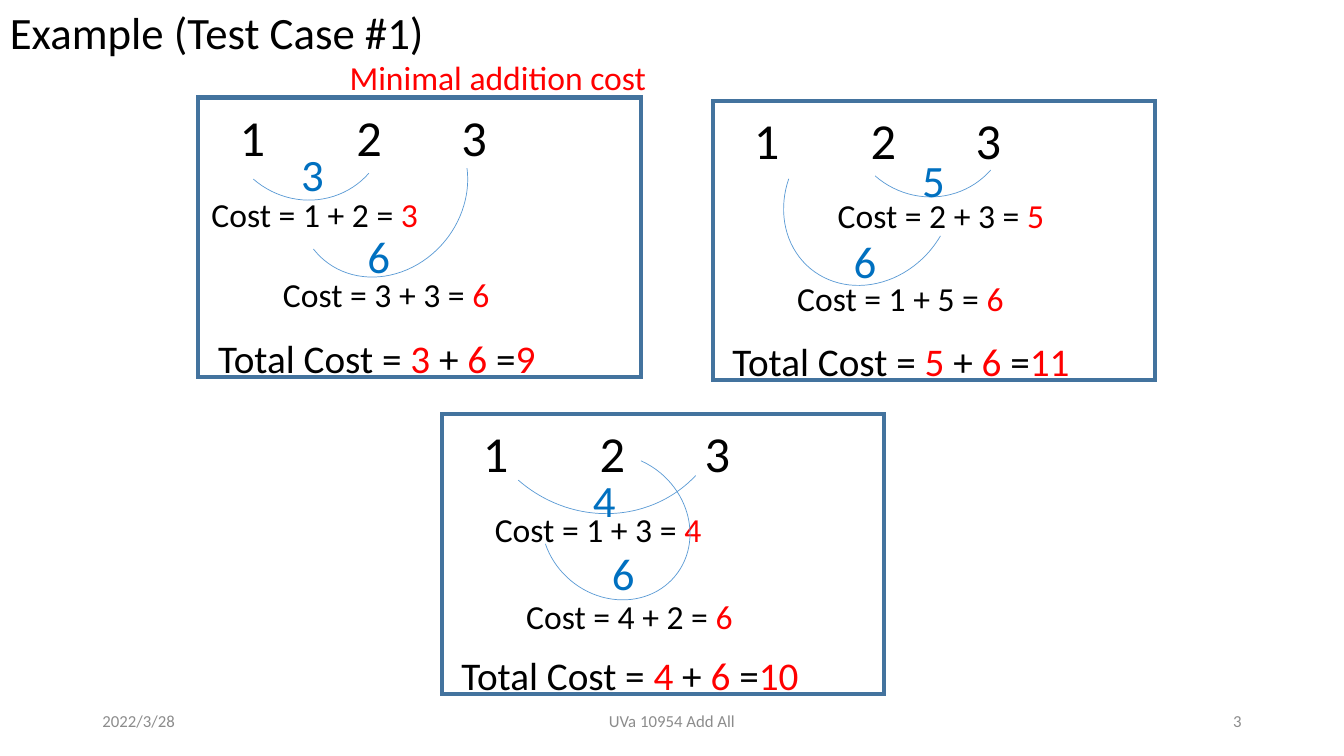
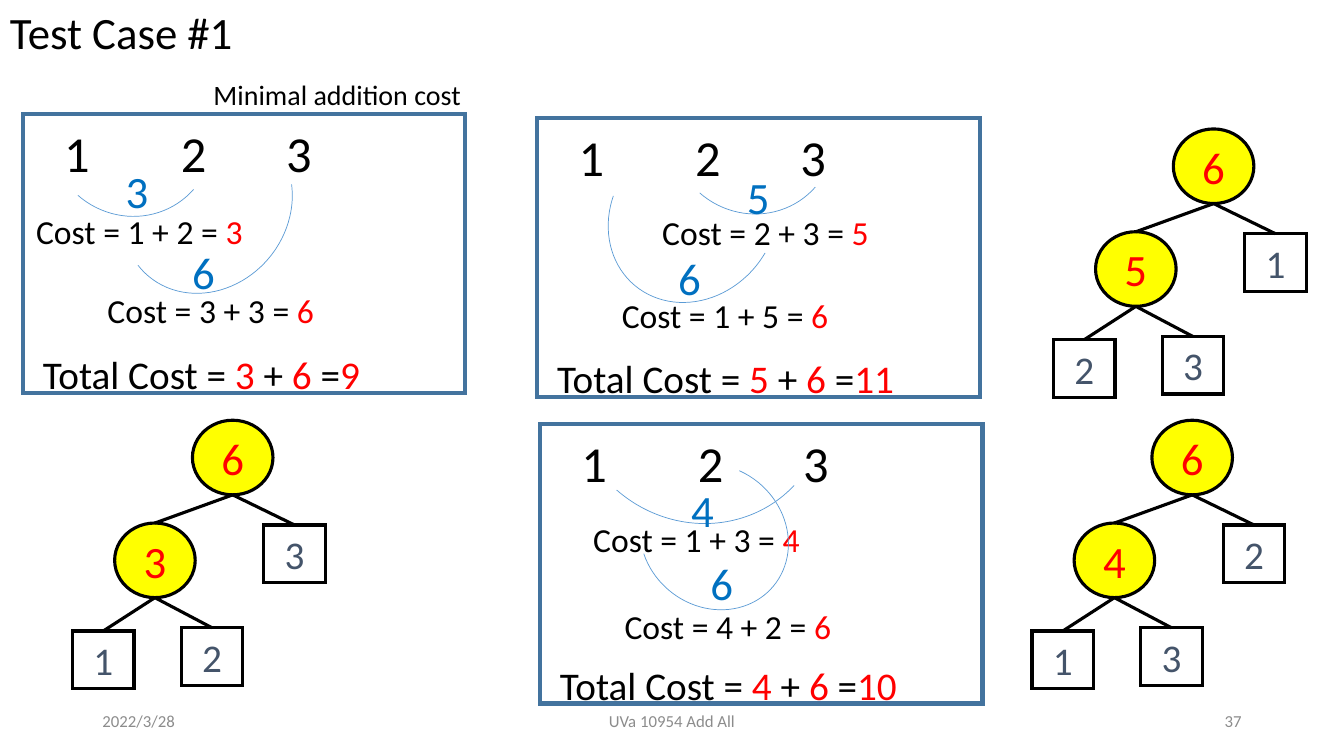
from dataclasses import dataclass

from lxml import etree
from pptx import Presentation
from pptx.dml.color import RGBColor
from pptx.enum.shapes import MSO_CONNECTOR, MSO_SHAPE
from pptx.enum.text import MSO_ANCHOR, PP_ALIGN
from pptx.oxml.ns import qn
from pptx.util import Cm, Pt

ARC, RECT, OVAL = MSO_SHAPE.ARC, MSO_SHAPE.RECTANGLE, MSO_SHAPE.OVAL
STRAIGHT = MSO_CONNECTOR.STRAIGHT
LEFT, CENTER, RIGHT = PP_ALIGN.LEFT, PP_ALIGN.CENTER, PP_ALIGN.RIGHT
TOP, MIDDLE = MSO_ANCHOR.TOP, MSO_ANCHOR.MIDDLE


@dataclass(frozen=True)
class Theme:
    font: str = "Calibri"
    ink: str = "000000"
    accent: str = "FF0000"
    sum: str = "0070C0"
    leaf: str = "44546A"
    node: str = "FFFF00"
    arc: str = "5B9BD5"
    frame: str = "43739E"
    footer: str = "8C8C8C"
    number_size: int = 36
    title_size: int = 32
    total_size: int = 28
    cost_size: int = 24
    caption_size: int = 20
    footer_size: int = 12
    arc_line: float = 0.5
    tree_line: float = 2.25
    frame_line: float = 3


theme = Theme()


def write(shape, runs, size, align=LEFT, anchor=TOP):
    frame = shape.text_frame
    frame.word_wrap = True
    frame.vertical_anchor = anchor
    paragraph = frame.paragraphs[0]
    paragraph.alignment = align
    for text, color in runs:
        run = paragraph.add_run()
        run.text = text
        run.font.name = theme.font
        run.font.size = Pt(size)
        run.font.color.rgb = RGBColor.from_string(color)
    return paragraph


def draw(slide, kind, box, line, width, fill=None):
    shape = slide.shapes.add_shape(kind, *map(Cm, box))
    shape.shadow.inherit = False
    shape.line.color.rgb = RGBColor.from_string(line)
    shape.line.width = Pt(width)
    etree.SubElement(shape.line._get_or_add_ln(), qn("a:miter"), lim="800000")
    if fill:
        shape.fill.solid()
        shape.fill.fore_color.rgb = RGBColor.from_string(fill)
    else:
        shape.fill.background()
    return shape


PANEL_SIZE = (11.15, 7.04)
NUMBER_TABS = (2.94, 5.59)
NODE_W, NODE_H = 2.03, 1.88
LEAF_W, LEAF_H = 1.55, 1.45
ADJUSTMENT_PER_DEGREE = 0.6

merges = {
    "first two": {
        "first": (1, 2), "second": (3, 3), "rest": 3,
        "costs": ((0.08, 2.31), (1.88, 4.32)),
        "sums": ((2.34, 1.12), (4.01, 3.18)),
        "arcs": (
            ((0.69, -1.57, 4.06, 4.19), 131.2, (270, 0)),
            ((2.34, 0.3, 4.6, 4.06), 129.8, (215.64, 9.78)),
        ),
    },
    "last two": {
        "first": (2, 3), "second": (1, 5), "rest": 1,
        "costs": ((2.9, 2.24), (1.88, 4.34)),
        "sums": ((5.03, 1.19), (3.3, 3.23)),
        "arcs": (
            ((3.4, -1.73, 4.06, 4.19), 131.2, (270, 0)),
            ((1.63, 0.43, 4.6, 4.06), 129.8, (257.83, 63.93)),
        ),
    },
    "outer two": {
        "first": (1, 3), "second": (4, 2), "rest": 2,
        "costs": ((1.09, 2.26), (1.88, 4.45)),
        "sums": ((3.56, 1.35), (4.04, 3.18)),
        "arcs": (
            ((0.86, -3.99, 6.27, 6.58), 131.2, (271.8, 0)),
            ((2.62, 0.89, 3.53, 3.89), 129.8, (161.11, 36.63)),
        ),
    },
}

pages = (
    {
        "title": "Example (Test Case #1)",
        "number": "3",
        "caption": (8.56, 1.32, theme.cost_size, theme.accent),
        "panels": {"first two": (5, 2.46), "last two": (17.96, 2.54), "outer two": (11.13, 10.44)},
        "trees": {},
    },
    {
        "title": "Test Case #1",
        "number": "37",
        "caption": (5.13, 1.83, theme.caption_size, theme.ink),
        "panels": {"first two": (0.58, 2.87), "last two": (13.54, 2.97), "outer two": (13.61, 10.69)},
        "trees": {"first two": (4.85, 10.59), "outer two": (29.03, 10.59), "last two": (29.57, 3.25)},
    },
)

deck = Presentation()
deck.slide_width, deck.slide_height = Cm(33.87), Cm(19.05)

for page in pages:
    slide = deck.slides.add_slide(deck.slide_layouts[6])

    footers = (
        ("2022/3/28", 2.33, 7.62, LEFT),
        ("UVa 10954 Add All", 11.22, 11.43, CENTER),
        (page["number"], 23.92, 7.62, RIGHT),
    )
    for text, left, width, align in footers:
        footer = slide.shapes.add_textbox(Cm(left), Cm(17.66), Cm(width), Cm(1.01))
        write(footer, [(text, theme.footer)], theme.footer_size, align, MIDDLE)

    title = slide.shapes.add_textbox(0, 0, Cm(12), Cm(1.62))
    write(title, [(page["title"], theme.ink)], theme.title_size)
    left, top, size, color = page["caption"]
    caption = slide.shapes.add_textbox(Cm(left), Cm(top), Cm(8.66), Cm(1.28))
    write(caption, [("Minimal addition cost", color)], size)

    for name, (left, top) in page["panels"].items():
        merge = merges[name]
        totals = [sum(merge["first"]), sum(merge["second"])]
        draw(slide, RECT, (left, top, *PANEL_SIZE), theme.frame, theme.frame_line)

        numbers = slide.shapes.add_textbox(Cm(left + 0.79), Cm(top + 0.08), Cm(7.37), Cm(1.8))
        paragraph = write(numbers, [("1\t2\t3", theme.ink)], theme.number_size)
        tabs = etree.SubElement(paragraph._p.get_or_add_pPr(), qn("a:tabLst"))
        for position in NUMBER_TABS:
            etree.SubElement(tabs, qn("a:tab"), pos=str(Cm(position)), algn="l")

        steps = zip((merge["first"], merge["second"]), totals, merge["costs"], merge["sums"], merge["arcs"])
        for (a, b), total, (cost_x, cost_y), (sum_x, sum_y), (box, turn, angles) in steps:
            x, y, width, height = box
            arc = draw(slide, ARC, (left + x, top + y, width, height), theme.arc, theme.arc_line)
            arc.rotation = turn
            for index, angle in enumerate(angles):
                arc.adjustments[index] = angle * ADJUSTMENT_PER_DEGREE
            cost = slide.shapes.add_textbox(Cm(left + cost_x), Cm(top + cost_y), Cm(5.94), Cm(1.28))
            write(cost, [(f"Cost = {a} + {b} = ", theme.ink), (str(total), theme.accent)], theme.cost_size)
            result = slide.shapes.add_textbox(Cm(left + sum_x), Cm(top + sum_y), Cm(1.37), Cm(1.62))
            write(result, [(str(total), theme.sum)], theme.title_size)

        total_cost = slide.shapes.add_textbox(Cm(left + 0.25), Cm(top + 5.84), Cm(9.32), Cm(1.45))
        write(total_cost, [
            ("Total Cost = ", theme.ink), (str(totals[0]), theme.accent),
            (" + ", theme.ink), (str(totals[1]), theme.accent),
            (" =", theme.ink), (str(sum(totals)), theme.accent),
        ], theme.total_size)

    for name, (left, top) in page["trees"].items():
        merge = merges[name]
        inner_left, inner_top = left - 1.96, top + 2.59
        nodes = ((sum(merge["second"]), left, top), (sum(merge["first"]), inner_left, inner_top))
        leaves = (
            (merge["first"][0], left - 3.02, top + 5.31),
            (merge["first"][1], left - 0.28, top + 5.23),
            (merge["rest"], left + 1.8, top + 2.64),
        )
        for value, x, y in leaves:
            leaf = draw(slide, RECT, (x, y, LEAF_W, LEAF_H), theme.ink, theme.tree_line)
            write(leaf, [(str(value), theme.leaf)], theme.total_size, CENTER, MIDDLE)
        for value, x, y in nodes:
            node = draw(slide, OVAL, (x, y, NODE_W, NODE_H), theme.ink, theme.tree_line, theme.node)
            write(node, [(str(value), theme.accent)], theme.title_size, CENTER, MIDDLE)

        root_end = (left + NODE_W / 2, top + NODE_H)
        inner_end = (inner_left + NODE_W / 2, inner_top + NODE_H)
        leaf_tops = [(x + LEAF_W / 2, y) for _, x, y in leaves]
        branches = (
            (root_end, (inner_left + NODE_W / 2, inner_top)),
            (root_end, leaf_tops[2]),
            (inner_end, leaf_tops[0]),
            (inner_end, leaf_tops[1]),
        )
        for start, end in branches:
            branch = slide.shapes.add_connector(STRAIGHT, *map(Cm, start + end))
            branch.line.color.rgb = RGBColor.from_string(theme.ink)
            branch.line.width = Pt(theme.tree_line)
            etree.SubElement(branch._element.spPr, qn("a:effectLst"))

deck.save("out.pptx")
